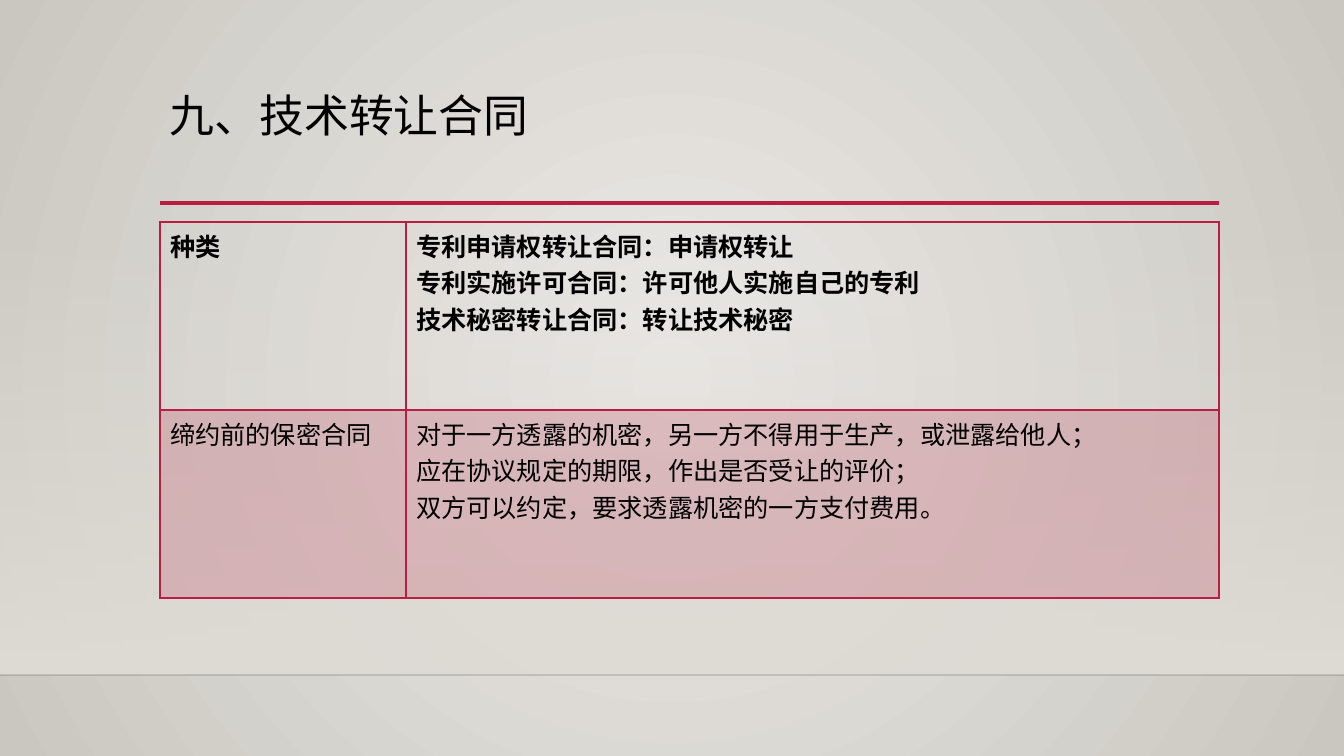
from dataclasses import dataclass

import pptx
import pptx.dml.color
import pptx.enum.shapes
import pptx.enum.text
import pptx.oxml.ns
import pptx.oxml.xmlchemy
import pptx.util
from lxml import etree

EMU_PER_PX = 914400 / 100.8
FONT = "Cabin"
COLORS = {
    "center": "ECEAE7",
    "edge": "CAC7C1",
    "floor": "DFDBD5",
    "horizon": "000001",
    "accent": "B71E42",
    "text": "000000",
}


@dataclass(frozen=True)
class Rule:
    left: int
    right: int
    y: int
    color: str
    width: float
    opacity: int = 100


@dataclass(frozen=True)
class ContractRow:
    cells: tuple[str, str]
    bold: bool
    tinted: bool
    top_width: float
    bottom_width: float


RULES = [
    Rule(0, 1344, 675, "horizon", 1, 20),
    Rule(160, 1219, 203, "accent", 2.5),
]
COLUMN_WIDTHS = (246, 813)
ROW_HEIGHT = 188
ROWS = [
    ContractRow(
        ("种类",
         "专利申请权转让合同：申请权转让\n"
         "专利实施许可合同：许可他人实施自己的专利\n"
         "技术秘密转让合同：转让技术秘密"),
        bold=True, tinted=False, top_width=1, bottom_width=2),
    ContractRow(
        ("缔约前的保密合同",
         "对于一方透露的机密，另一方不得用于生产，或泄露给他人；\n"
         "应在协议规定的期限，作出是否受让的评价；\n"
         "双方可以约定，要求透露机密的一方支付费用。"),
        bold=False, tinted=True, top_width=2, bottom_width=1),
]


def px(length: int) -> int:
    return pptx.util.Emu(round(length * EMU_PER_PX))


def rgb(name: str) -> pptx.dml.color.RGBColor:
    return pptx.dml.color.RGBColor.from_string(COLORS[name])


def add_element(parent, tag: str, **attributes: str):
    return etree.SubElement(parent, pptx.oxml.ns.qn(tag), attributes)


def set_opacity(color_element, percent: int) -> None:
    add_element(color_element, "a:alpha", val=str(percent * 1000))


def first_color(element):
    return next(element.iter(pptx.oxml.ns.qn("a:srgbClr")))


def set_gradient(fill, start: str, end: str) -> None:
    fill.gradient()
    for stop, name, position in zip(fill.gradient_stops, (start, end), (0, 1)):
        stop.color.rgb = rgb(name)
        stop.position = position


def write_text(frame, text: str, size: int, bold: bool) -> None:
    frame.text = text
    formats = {"name": FONT, "size": pptx.util.Pt(size), "bold": bold}
    for paragraph in frame.paragraphs:
        for run in paragraph.runs:
            for attribute, value in formats.items():
                setattr(run.font, attribute, value)
            run.font.color.rgb = rgb("text")


def draw_backdrop(slide) -> None:
    set_gradient(slide.background.fill, "center", "edge")
    gradient = next(slide.element.iter(pptx.oxml.ns.qn("a:gradFill")))
    gradient.remove(gradient.find(pptx.oxml.ns.qn("a:lin")))
    circle = add_element(gradient, "a:path", path="circle")
    add_element(circle, "a:fillToRect", l="50000", t="50000", r="50000", b="50000")

    floor = slide.shapes.add_shape(
        pptx.enum.shapes.MSO_SHAPE.RECTANGLE, 0, px(223), px(1344), px(452))
    floor.shadow.inherit = False
    floor.line.fill.background()
    set_gradient(floor.fill, "floor", "floor")
    floor.fill.gradient_angle = 270
    set_opacity(first_color(floor.element), 0)


def draw_rule(slide, rule: Rule) -> None:
    connector = slide.shapes.add_connector(
        pptx.enum.shapes.MSO_CONNECTOR.STRAIGHT,
        px(rule.left), px(rule.y), px(rule.right), px(rule.y))
    connector.line.color.rgb = rgb(rule.color)
    connector.line.width = pptx.util.Pt(rule.width)
    if rule.opacity < 100:
        set_opacity(first_color(connector.element), rule.opacity)
    add_element(connector.element.spPr, "a:effectLst")


def draw_title(slide, text: str) -> None:
    frame = slide.shapes.add_textbox(px(160), px(89), px(1059), px(115)).text_frame
    frame.word_wrap = True
    frame.vertical_anchor = pptx.enum.text.MSO_ANCHOR.TOP
    write_text(frame, text, 32, False)
    frame.paragraphs[0].line_spacing = 0.9


def format_cell(cell, row: ContractRow) -> None:
    properties = cell._tc.get_or_add_tcPr()
    widths = {"a:lnL": 1, "a:lnR": 1, "a:lnT": row.top_width, "a:lnB": row.bottom_width}
    for tag, width in widths.items():
        border = add_element(properties, tag, w=str(pptx.util.Pt(width)))
        add_element(add_element(border, "a:solidFill"), "a:srgbClr", val=COLORS["accent"])
    if row.tinted:
        cell.fill.solid()
        cell.fill.fore_color.rgb = rgb("accent")
        tint = properties.find(pptx.oxml.ns.qn("a:solidFill"))
        set_opacity(first_color(tint), 20)
    else:
        cell.fill.background()


def draw_table(slide) -> None:
    table = slide.shapes.add_table(
        len(ROWS), len(COLUMN_WIDTHS), px(160), px(222),
        px(sum(COLUMN_WIDTHS)), px(ROW_HEIGHT * len(ROWS))).table
    table.first_row = False
    table.horz_banding = False
    for column, width in zip(table.columns, COLUMN_WIDTHS):
        column.width = px(width)
    for table_row, row in zip(table.rows, ROWS):
        table_row.height = px(ROW_HEIGHT)
        for cell, text in zip(table_row.cells, row.cells):
            write_text(cell.text_frame, text, 18, row.bold)
            format_cell(cell, row)


def main() -> None:
    presentation = pptx.Presentation()
    presentation.slide_width = px(1344)
    presentation.slide_height = px(756)
    slide = presentation.slides.add_slide(presentation.slide_layouts[6])

    draw_backdrop(slide)
    for rule in RULES:
        draw_rule(slide, rule)
    draw_title(slide, "九、技术转让合同")
    draw_table(slide)
    presentation.save("out.pptx")


if __name__ == "__main__":
    main()
